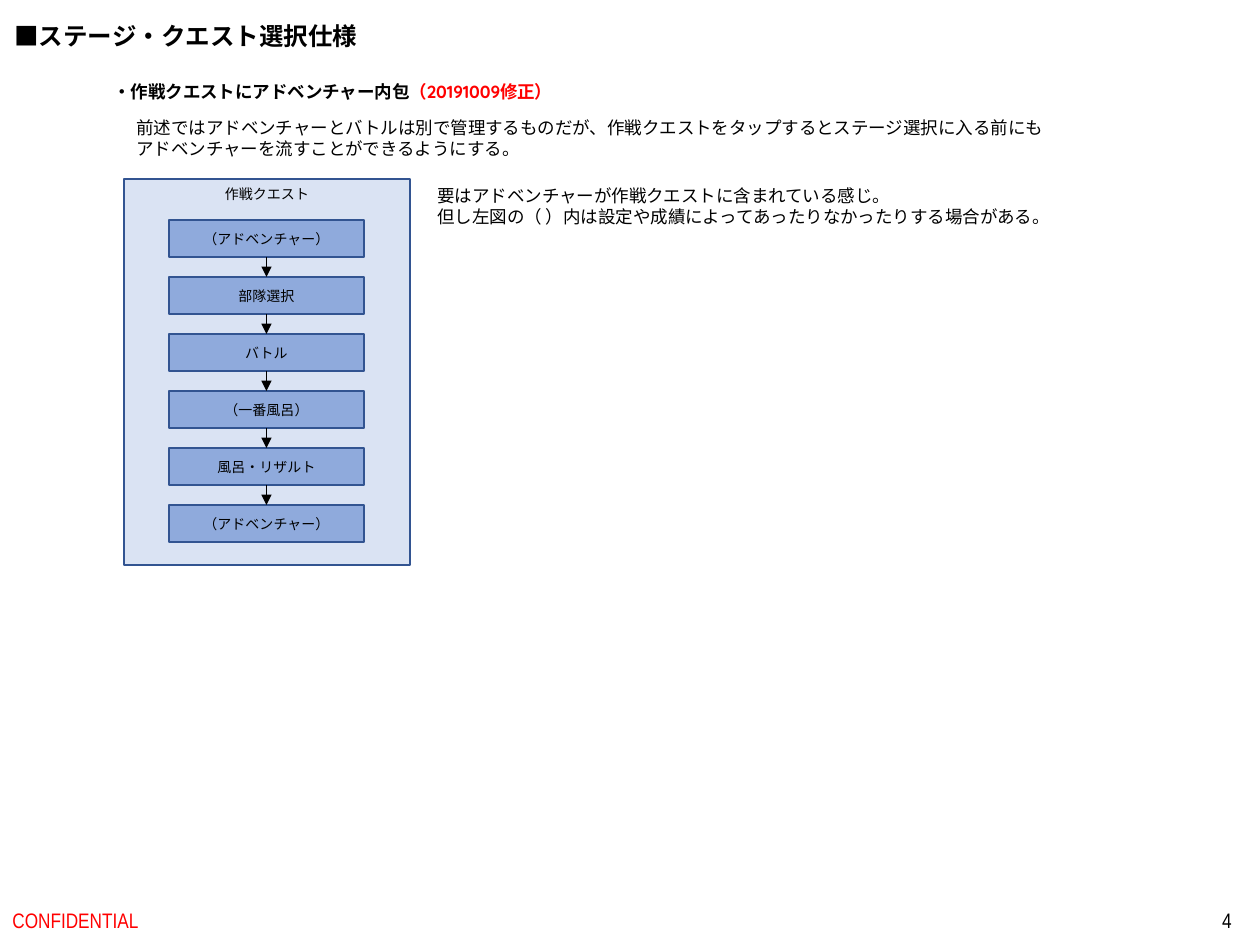
from dataclasses import dataclass

from lxml import etree
from pptx import Presentation
from pptx import util as u
from pptx.dml.color import RGBColor
from pptx.enum import shapes, text
from pptx.oxml.ns import qn


@dataclass(frozen=True)
class Theme:
    """Colours, fonts and type sizes of the slide."""
    ink: str = "000000"
    alert: str = "FF0000"
    panel: str = "DAE3F3"
    step: str = "8FAADC"
    outline: str = "325491"
    title_font: str = "Arial"
    footer_font: str = "Arial Narrow"
    body_font: str = "Quicksand"
    title_size: int = 14
    footer_size: int = 12
    body_size: int = 10
    step_size: int = 8
    line_width: int = 1


THEME = Theme()
PX_PER_INCH = 126


def px(length):
    """Turn a length in px into EMU."""
    return u.Emu(round(length * 914400 / PX_PER_INCH))


def style(paragraph, size, name, color=THEME.ink, bold=False):
    """Set the font of a whole paragraph."""
    font = paragraph.font
    font.size = u.Pt(size)
    font.name = name
    font.bold = bold
    font.color.rgb = RGBColor.from_string(color)


def add_text(slide, box, lines, size, name, color=THEME.ink, bold=False):
    """Place an unwrapped text box that fits its lines and return its frame."""
    frame = slide.shapes.add_textbox(*map(px, box)).text_frame
    frame.word_wrap = False
    frame.auto_size = text.MSO_AUTO_SIZE.SHAPE_TO_FIT_TEXT
    frame.text = "\n".join(lines)
    for paragraph in frame.paragraphs:
        style(paragraph, size, name, color, bold)
    return frame


def add_heading(slide, box, label, revision):
    """Place the section heading with its revision mark."""
    frame = add_text(slide, box, [label], THEME.body_size, THEME.body_font, bold=True)
    run = frame.paragraphs[0].add_run()
    run.text = revision
    run.font.color.rgb = RGBColor.from_string(THEME.alert)


def add_footer(slide, box, label, color, alignment):
    """Place one footer label, centred vertically."""
    frame = add_text(slide, box, [label], THEME.footer_size, THEME.footer_font, color)
    frame.word_wrap = True
    frame.auto_size = text.MSO_AUTO_SIZE.NONE
    frame.vertical_anchor = text.MSO_ANCHOR.MIDDLE
    frame.paragraphs[0].alignment = alignment


def add_block(slide, box, label, fill, anchor):
    """Place an outlined rectangle with a centred label."""
    shape = slide.shapes.add_shape(shapes.MSO_SHAPE.RECTANGLE, *map(px, box))
    shape.shadow.inherit = False
    shape.fill.solid()
    shape.fill.fore_color.rgb = RGBColor.from_string(fill)
    shape.line.color.rgb = RGBColor.from_string(THEME.outline)
    shape.line.width = u.Pt(THEME.line_width)
    frame = shape.text_frame
    frame.word_wrap = True
    frame.vertical_anchor = anchor
    frame.text = label
    paragraph = frame.paragraphs[0]
    paragraph.alignment = text.PP_ALIGN.CENTER
    style(paragraph, THEME.step_size, THEME.body_font)
    return shape


def add_arrow(slide, upper, lower):
    """Join the bottom of one block to the top of the next."""
    connector = slide.shapes.add_connector(shapes.MSO_CONNECTOR.STRAIGHT, 0, 0, 0, 0)
    connector.begin_connect(upper, 2)
    connector.end_connect(lower, 0)
    connector.line.color.rgb = RGBColor.from_string(THEME.ink)
    connector.line.width = u.Pt(THEME.line_width)
    properties = connector.line._get_or_add_ln()
    etree.SubElement(properties, qn("a:tailEnd"), type="triangle")
    etree.SubElement(properties.getparent(), qn("a:effectLst"))


def add_flow(slide, box, label, steps):
    """Place the quest panel with its evenly spaced chain of steps."""
    left, top, width, height = box
    step_width, step_height, pitch, header = 195, 37, 57, 41
    add_block(slide, box, label, THEME.panel, text.MSO_ANCHOR.TOP)
    step_left = left + (width - step_width) // 2
    blocks = [
        add_block(slide, (step_left, top + header + index * pitch, step_width, step_height),
                  step, THEME.step, text.MSO_ANCHOR.MIDDLE)
        for index, step in enumerate(steps)
    ]
    for upper, lower in zip(blocks, blocks[1:]):
        add_arrow(slide, upper, lower)


def build_quest_slide(presentation):
    """Build the stage and quest selection slide."""
    slide = presentation.slides.add_slide(presentation.slide_layouts[6])
    add_text(slide, (2, 15, 372, 42), ["■ステージ・クエスト選択仕様"],
             THEME.title_size, THEME.title_font, bold=True)
    add_footer(slide, (0, 895, 426, 50), "CONFIDENTIAL", THEME.alert, text.PP_ALIGN.LEFT)
    add_footer(slide, (960, 895, 284, 50), "4", THEME.ink, text.PP_ALIGN.RIGHT)
    add_heading(slide, (101, 75, 476, 34),
                "・作戦クエストにアドベンチャー内包", "（20191009修正）")
    add_text(slide, (124, 111, 980, 56), [
        "前述ではアドベンチャーとバトルは別で管理するものだが、作戦クエストをタップするとステージ選択に入る前にも",
        "アドベンチャーを流すことができるようにする。",
    ], THEME.body_size, THEME.body_font)
    add_flow(slide, (124, 179, 286, 386), "作戦クエスト", [
        "（アドベンチャー）", "部隊選択", "バトル",
        "（一番風呂）", "風呂・リザルト", "（アドベンチャー）",
    ])
    add_text(slide, (425, 179, 649, 56), [
        "要はアドベンチャーが作戦クエストに含まれている感じ。",
        "但し左図の（ ）内は設定や成績によってあったりなかったりする場合がある。",
    ], THEME.body_size, THEME.body_font)


def main():
    """Create and save the presentation."""
    presentation = Presentation()
    presentation.slide_width = px(1260)
    presentation.slide_height = px(945)
    build_quest_slide(presentation)
    presentation.save("out.pptx")


if __name__ == "__main__":
    main()
